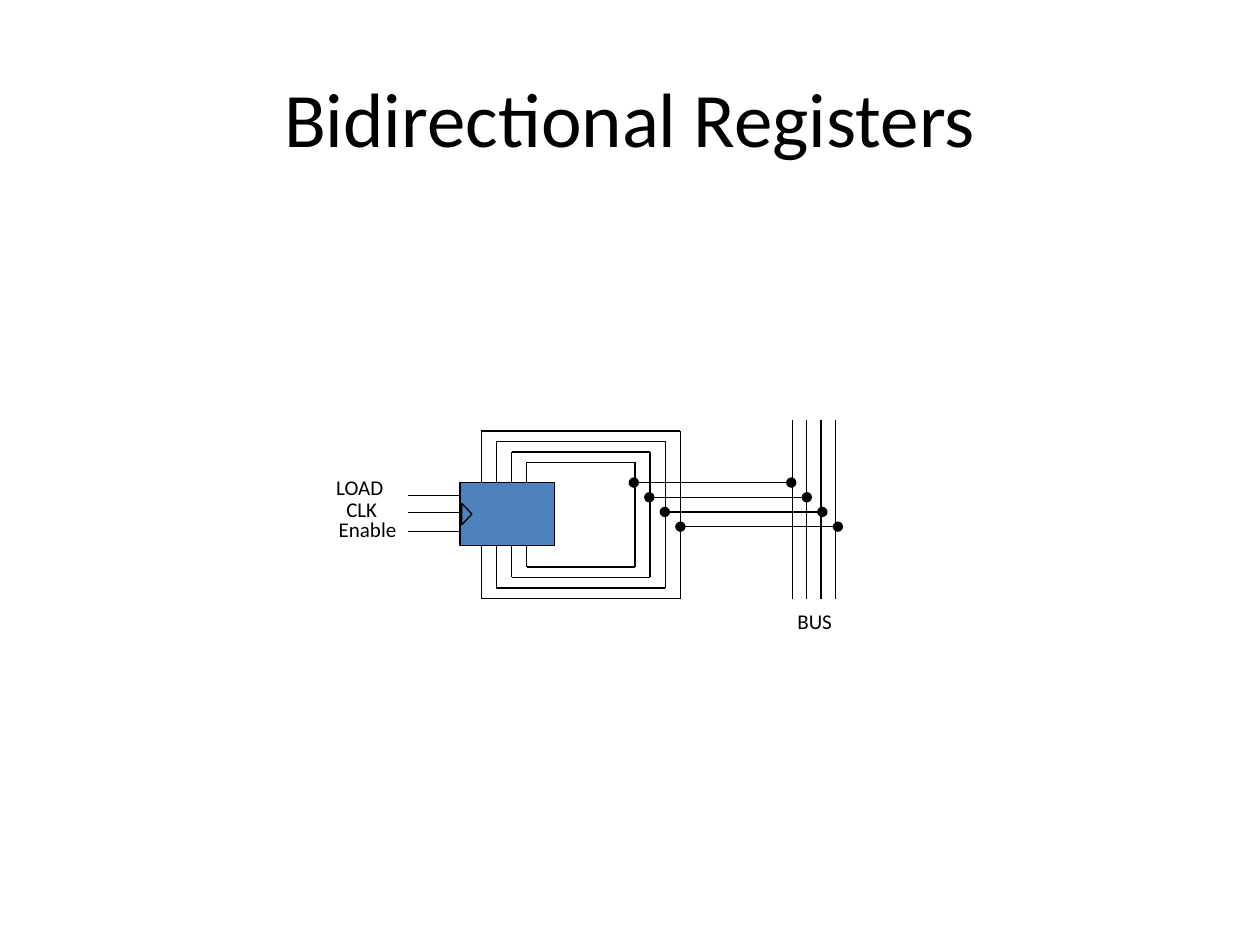
from dataclasses import dataclass
from itertools import pairwise

from lxml.etree import SubElement
from pptx import Presentation
from pptx.dml.color import RGBColor as RGB
from pptx.enum.shapes import MSO_CONNECTOR as CONN, MSO_SHAPE as SHAPE
from pptx.enum.text import MSO_ANCHOR as ANCHOR, MSO_AUTO_SIZE as AUTO, PP_ALIGN as ALIGN
from pptx.oxml.ns import qn
from pptx.util import Inches, Pt


@dataclass(frozen=True)
class Theme:
    ink: RGB = RGB(0, 0, 0)
    fill: RGB = RGB(0x4F, 0x81, 0xBD)
    font: str = "Calibri"
    title: Pt = Pt(44)
    label: Pt = Pt(12)
    line: Pt = Pt(0.75)


THEME = Theme()


def add_text(s, text, box, size, title=False):
    sp = s.shapes.add_textbox(*map(Inches, box))
    tf = sp.text_frame
    tf.word_wrap = title
    tf.auto_size = AUTO.NONE if title else AUTO.SHAPE_TO_FIT_TEXT
    tf.vertical_anchor = ANCHOR.MIDDLE if title else ANCHOR.TOP
    p = tf.paragraphs[0]
    p.text = text
    p.alignment = ALIGN.CENTER if title else ALIGN.LEFT
    p.font.name = THEME.font
    p.font.size = size
    p.font.color.rgb = THEME.ink


def add_block(s, kind, box, rotation=0):
    sp = s.shapes.add_shape(kind, *map(Inches, box))
    sp.rotation = rotation
    sp.shadow.inherit = False
    sp.fill.solid()
    sp.fill.fore_color.rgb = THEME.fill
    sp.line.color.rgb = THEME.ink
    sp.line.width = THEME.line


def add_wire(shapes, start, end, dots=False):
    wire = shapes.add_connector(CONN.STRAIGHT, *map(Inches, (*start, *end)))
    wire.line.color.rgb = THEME.ink
    wire.line.width = THEME.line
    if dots:
        ln = wire.line._get_or_add_ln()
        for tag in ("a:headEnd", "a:tailEnd"):
            SubElement(ln, qn(tag), type="oval")
    SubElement(wire._element.spPr, qn("a:effectLst"))


def add_loops(s, pin_y, outer_y, step):
    group = s.shapes.add_group_shape()
    for i in range(4):
        left, right, y = 3.82 + 0.12 * i, 5.4 - 0.12 * i, outer_y + step * i
        points = [(left, pin_y), (left, y), (right, y), (right, 4.08)]
        for start, end in pairwise(points):
            add_wire(group.shapes, start, end)


def add_bus(s):
    for i in range(4):
        x = 6.29 + 0.34 * i / 3
        add_wire(s.shapes, (x, 3.33), (x, 4.75))
    for i in range(4):
        x, y = 5.03 + 0.37 * i / 3, 3.83 + 0.35 * i / 3
        add_wire(s.shapes, (x, y), (x + 1.25, y), dots=True)


def main():
    prs = Presentation()
    prs.slide_width, prs.slide_height = Inches(10), Inches(7.5)
    s = prs.slides.add_slide(prs.slide_layouts[6])
    add_text(s, "Bidirectional Registers", (0.5, 0.3, 9, 1.25), THEME.title, title=True)
    add_block(s, SHAPE.RECTANGLE, (3.65, 3.83, 0.75, 0.5))
    add_loops(s, 3.83, 3.42, 0.25 / 3)
    add_loops(s, 4.33, 4.75, -0.25 / 3)
    add_bus(s)
    for y in (3.93, 4.07, 4.22):
        add_wire(s.shapes, (3.24, y), (3.65, y))
    add_block(s, SHAPE.ISOSCELES_TRIANGLE, (3.62, 4.04, 0.17, 0.08), rotation=90)
    labels = (
        ("LOAD", 2.57, 3.72, 0.66),
        ("CLK", 2.65, 3.89, 0.53),
        ("Enable", 2.59, 4.05, 0.67),
        ("BUS", 6.23, 4.78, 0.52),
    )
    for text, x, y, width in labels:
        add_text(s, text, (x, y, width, 0.3), THEME.label)
    prs.save("out.pptx")


main()
